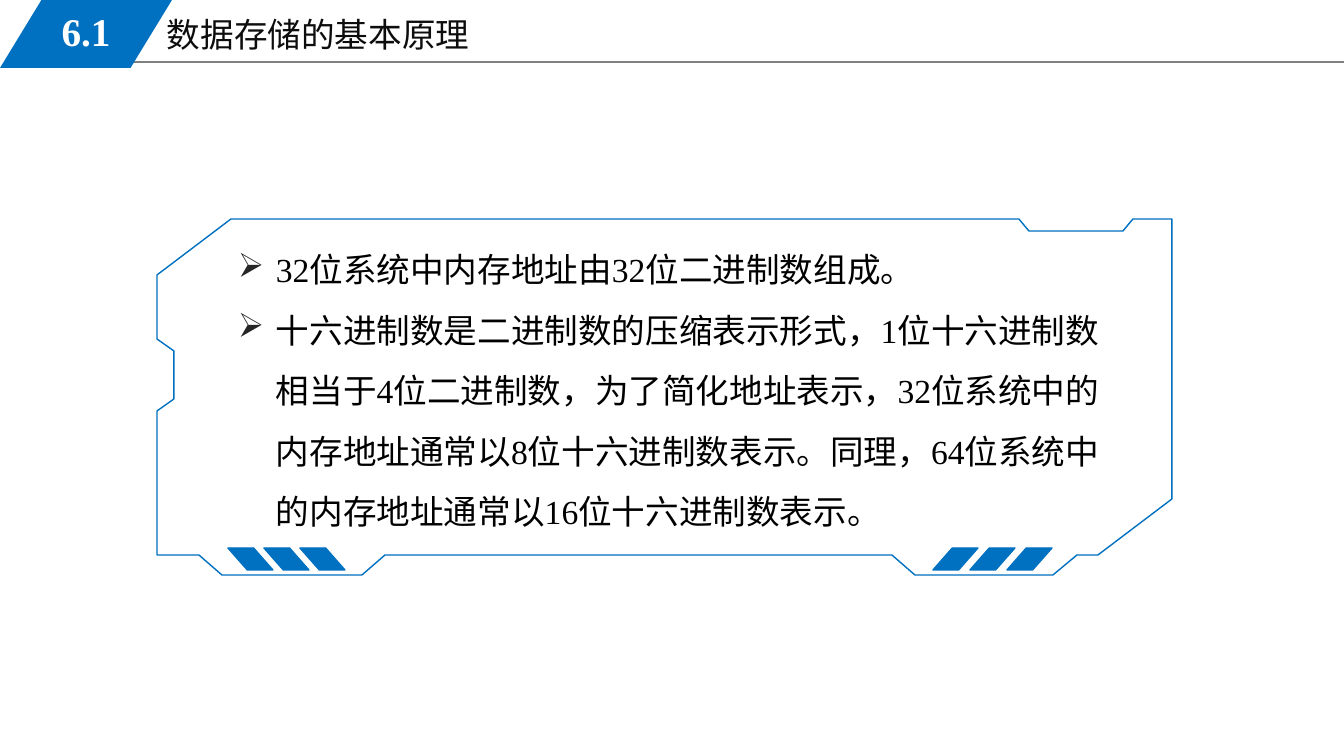
import pptx
import pptx.dml.color
import pptx.enum.lang
import pptx.enum.shapes
import pptx.enum.text
import pptx.oxml
import pptx.oxml.ns
import pptx.util

COLORS = {"blue": "0070C0", "rule": "808080", "title": "0D0D0D",
          "body": "000000", "bullet": "262626", "white": "FFFFFF"}
FONT = "Times New Roman"
EMU_PER_PX = 914400 / 100.8
ALIGN = pptx.enum.text.PP_ALIGN
ANCHOR = pptx.enum.text.MSO_ANCHOR


def px(n):
    return pptx.util.Emu(round(n * EMU_PER_PX))


def rgb(name):
    return pptx.dml.color.RGBColor.from_string(COLORS[name])


def write(p, text, size=24, color="body", bold=False, align=ALIGN.LEFT,
          spacing=None, bullet=None, indent=0):
    """Fill one paragraph with formatted text."""
    p.alignment = align
    if bullet:
        pPr = p._p.get_or_add_pPr()
        pPr.set("marL", str(px(indent)))
        pPr.set("indent", str(-px(indent)))
        ns = pptx.oxml.ns.nsdecls("a")
        for xml in (f'<a:buClr {ns}><a:srgbClr val="{COLORS["bullet"]}"/></a:buClr>',
                    f'<a:buChar {ns} char="{bullet}"/>'):
            pPr.append(pptx.oxml.parse_xml(xml))
    if spacing:
        p.line_spacing = spacing
    r = p.add_run()
    r.text = text
    r.font.name = FONT
    r.font.size = pptx.util.Pt(size)
    r.font.bold = bold
    r.font.color.rgb = rgb(color)
    r.font.language_id = pptx.enum.lang.MSO_LANGUAGE_ID.SIMPLIFIED_CHINESE


class Slide:
    def __init__(self, prs):
        self.shapes = prs.slides.add_slide(prs.slide_layouts[6]).shapes

    def style(self, sp, fill=None, line=None):
        sp.shadow.inherit = False
        if fill:
            sp.fill.solid()
            sp.fill.fore_color.rgb = rgb(fill)
        else:
            sp.fill.background()
        if line:
            sp.line.color.rgb = rgb(line)
            sp.line.width = pptx.util.Pt(1)
        else:
            sp.line.fill.background()

    def text(self, x, y, w, h, lines, anchor=ANCHOR.TOP, **fmt):
        tf = self.shapes.add_textbox(px(x), px(y), px(w), px(h)).text_frame
        tf.word_wrap = True
        tf.auto_size = pptx.enum.text.MSO_AUTO_SIZE.SHAPE_TO_FIT_TEXT
        tf.vertical_anchor = anchor
        for i, line in enumerate(lines):
            write(tf.add_paragraph() if i else tf.paragraphs[0], line, **fmt)

    def parallelogram(self, x, y, w, h, slant, line=None, flip=False):
        kind = pptx.enum.shapes.MSO_SHAPE.PARALLELOGRAM
        sp = self.shapes.add_shape(kind, px(x), px(y), px(w), px(h))
        sp.adjustments[0] = slant
        if flip:
            sp._element.spPr.xfrm.set("flipH", "1")
        self.style(sp, "blue", line)

    def outline(self, points):
        fb = self.shapes.build_freeform(*points[0], scale=EMU_PER_PX)
        fb.add_line_segments(points[1:], close=True)
        self.style(fb.convert_to_shape(), line="blue")

    def rule(self, x1, y1, x2, y2):
        kind = pptx.enum.shapes.MSO_CONNECTOR.STRAIGHT
        cn = self.shapes.add_connector(kind, px(x1), px(y1), px(x2), px(y2))
        cn.line.color.rgb = rgb("rule")
        cn.line.width = pptx.util.Pt(0.75)
        ns = pptx.oxml.ns.nsdecls("a")
        cn._element.spPr.append(pptx.oxml.parse_xml(f"<a:effectLst {ns}/>"))


def main():
    prs = pptx.Presentation()
    prs.slide_width, prs.slide_height = px(1344), px(756)
    s = Slide(prs)

    # Header
    s.rule(114, 62, 1344, 62)
    s.text(157, 9, 572, 51, ["数据存储的基本原理"], color="title")
    s.parallelogram(0, 0, 172, 68, 0.61)
    s.text(25, 2, 122, 58, ["6.1"], anchor=ANCHOR.MIDDLE, size=28,
           color="white", bold=True, align=ALIGN.CENTER)

    # Body
    s.text(228, 224, 909, 308, [
        "32位系统中内存地址由32位二进制数组成。",
        "十六进制数是二进制数的压缩表示形式，1位十六进制数相当于4位二进制数，"
        "为了简化地址表示，32位系统中的内存地址通常以8位十六进制数表示。"
        "同理，64位系统中的内存地址通常以16位十六进制数表示。",
    ], spacing=1.5, bullet="➢", indent=38)

    # Frame, clockwise from the top left corner
    s.outline([
        (231, 219), (1019, 219), (1029, 231), (1123, 231), (1133, 219), (1172, 219),
        (1172, 499), (1098, 555), (1077, 555), (1053, 575), (915, 575), (892, 555),
        (385, 555), (362, 575), (222, 575), (199, 555), (157, 555),
        (157, 411), (174, 399), (174, 351), (157, 339), (157, 275)])

    # Slanted bars at the bottom of the frame
    for left, step, flip in ((933, 37, False), (228, 36, True)):
        for i in range(3):
            s.parallelogram(left + i * step, 548, 45, 22, 0.88, "blue", flip)

    prs.save("out.pptx")


if __name__ == "__main__":
    main()
